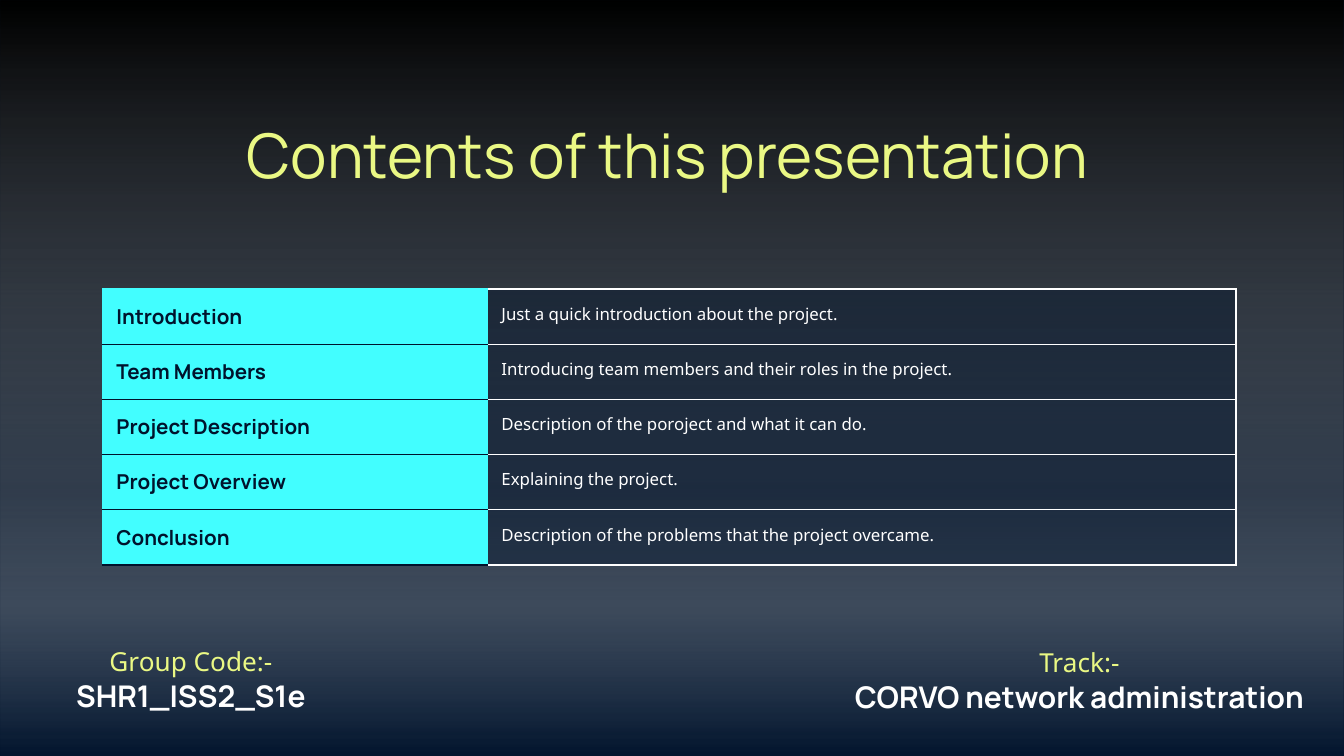
from lxml import etree
from pptx import Presentation
from pptx import util as u
from pptx.dml.color import RGBColor
from pptx.enum import shapes, text
from pptx.oxml import ns

PX = 9144000 / 1344
NAVY = RGBColor(0x00, 0x13, 0x2C)
CYAN = RGBColor(0x42, 0xFE, 0xFF)
LIME = RGBColor(0xEA, 0xF8, 0x84)
WHITE = RGBColor(0xFF, 0xFF, 0xFF)
BLACK = RGBColor(0x00, 0x00, 0x00)
GREY = RGBColor(0x80, 0x80, 0x80)
SILVER = RGBColor(0xC0, 0xC0, 0xC0)
HEAD, BODY = "Manrope", "Noto Sans"
ROWS = [
    ("Introduction", "Just a quick introduction about the project."),
    ("Team Members", "Introducing team members and their roles in the project."),
    ("Project Description", "Description of the poroject and what it can do."),
    ("Project Overview", "Explaining the project."),
    ("Conclusion", "Description of the problems that the project overcame."),
]


def px(*vals):
    """Turn pixel lengths into EMU."""
    return [u.Emu(round(v * PX)) for v in vals]


def sub(node, tag, **attrs):
    """Append a drawing element and return it."""
    return etree.SubElement(node, ns.qn("a:" + tag), attrs)


def style(font, name, size, color, bold=False):
    """Set the look of a font."""
    font.name, font.size, font.bold = name, u.Pt(size), bold
    font.color.rgb = color


def inset(item):
    """Give a cell or text frame even margins."""
    item.margin_left = item.margin_right = u.Inches(0.1)
    item.margin_top = item.margin_bottom = u.Inches(0.1)


def shade(slide, box):
    """Lay a fading dark veil behind everything else."""
    veil = slide.shapes.add_shape(shapes.MSO_SHAPE.RECTANGLE, *px(*box))
    veil.shadow.inherit = False
    veil.line.fill.background()
    veil.fill.gradient()
    veil.fill.gradient_angle = 270
    stops = veil.element.find(".//" + ns.qn("a:gsLst"))
    stops.clear()
    for pos, color, alpha in ((0, BLACK, 100), (65, GREY, 38), (80, SILVER, 32), (100, WHITE, 0)):
        stop = sub(stops, "gs", pos=str(pos * 1000))
        sub(sub(stop, "srgbClr", val=str(color)), "alpha", val=str(alpha * 1000))
    veil.element.addnext(slide.shapes.title.element)


def heading(slide, box, words):
    """Place and format the title."""
    title = slide.shapes.title
    title.left, title.top, title.width, title.height = px(*box)
    frame = title.text_frame
    frame.text = words
    frame.word_wrap = True
    frame.auto_size = text.MSO_AUTO_SIZE.NONE
    frame.vertical_anchor = text.MSO_ANCHOR.TOP
    inset(frame)
    para = frame.paragraphs[0]
    para.alignment = text.PP_ALIGN.CENTER
    style(para.font, HEAD, 33, LIME)


def edge(cell, sides):
    """Draw cell borders, given as side and colour in L, R, T, B order."""
    props = cell._tc.get_or_add_tcPr()
    for i, (side, color) in enumerate(sides.items()):
        line = etree.Element(ns.qn("a:ln" + side), w=str(u.Pt(0.75)))
        if color is None:
            sub(line, "noFill")
        else:
            sub(sub(line, "solidFill"), "srgbClr", val=str(color))
        props.insert(i, line)


def fill(cell, words, color):
    """Set the text and fill of a cell and return its paragraph."""
    cell.text = words
    inset(cell)
    cell.fill.solid()
    cell.fill.fore_color.rgb = color
    return cell.text_frame.paragraphs[0]


def agenda(slide, box, split, rows):
    """Build the table of topics and their summaries."""
    table = slide.shapes.add_table(len(rows), 2, *px(*box)).table
    table.first_row = table.horz_banding = False
    table.columns[0].width, table.columns[1].width = px(split, box[2] - split)
    for i, (topic, note) in enumerate(rows):
        left, right = table.cell(i, 0), table.cell(i, 1)
        style(fill(left, topic, CYAN).font, HEAD, 11, NAVY, True)
        edge(left, {"L": CYAN, "R": None, "T": NAVY if i else CYAN, "B": NAVY})
        para = fill(right, note, NAVY)
        style(para.font, BODY, 9, WHITE)
        tint = right._tc.tcPr.find(".//" + ns.qn("a:srgbClr"))
        sub(tint, "alpha", val="40000")
        edge(right, {"L": None, "R": WHITE, "T": WHITE, "B": WHITE})


def label(slide, box, name, value):
    """Write a caption with its value on the line below."""
    frame = slide.shapes.add_textbox(*px(*box)).text_frame
    frame.word_wrap = True
    frame.vertical_anchor = text.MSO_ANCHOR.MIDDLE
    inset(frame)
    para = frame.paragraphs[0]
    para.alignment = text.PP_ALIGN.CENTER
    run = para.add_run()
    run.text = name
    style(run.font, BODY, 14, LIME)
    para.add_line_break()
    run = para.add_run()
    run.text = value
    style(run.font, HEAD, 16, WHITE, True)


def main():
    """Build and save the slide."""
    deck = Presentation()
    deck.slide_width, deck.slide_height = px(1344, 756)
    slide = deck.slides.add_slide(deck.slide_layouts[5])
    slide.background.fill.solid()
    slide.background.fill.fore_color.rgb = NAVY
    shade(slide, (0, 0, 1344, 756))
    heading(slide, (101, 103, 1133, 79), "Contents of this presentation")
    agenda(slide, (103, 289, 1133, 258), 385, ROWS)
    label(slide, (-45, 643, 472, 73), "Group Code:-", "SHR1_ISS2_S1e")
    label(slide, (829, 644, 501, 73), "Track:-", "CORVO network administration")
    deck.save("out.pptx")


if __name__ == "__main__":
    main()
